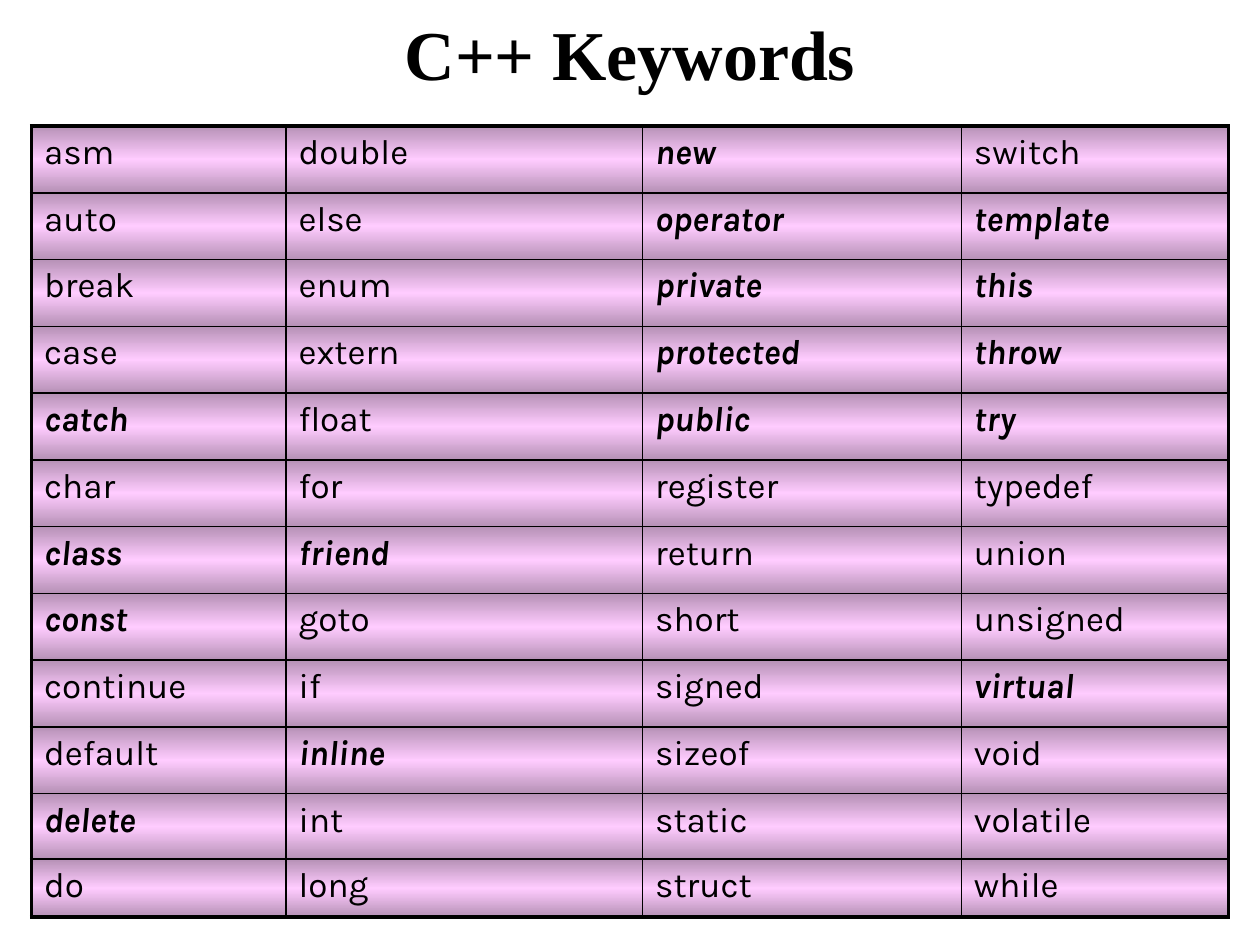
from lxml import etree
from pptx import Presentation
from pptx import util as u
from pptx.dml.color import RGBColor
from pptx.enum import text
from pptx.oxml.ns import qn

BLACK = RGBColor(0x00, 0x00, 0x00)
PINK = RGBColor(0xFF, 0xCC, 0xFF)

# One string per column of the table
WORDS = [
    "asm auto break case catch char class const continue default delete do",
    "double else enum extern float for friend goto if inline int long",
    "new operator private protected public register return short signed sizeof static struct",
    "switch template this throw try typedef union unsigned virtual void volatile while",
]
# Keywords that C++ adds to C
ADDED = set("catch class const delete friend inline new operator private protected "
            "public template this throw try virtual".split())


def write(frame, words, font="Karla", size=20, color=BLACK, bold=False,
          slant=False, align=None, before=None):
    para = frame.paragraphs[0]
    para.alignment = align
    if before:
        gap = node(para._p.get_or_add_pPr(), "spcBef")
        node(gap, "spcPct", val=before * 1000)
    run = para.add_run()
    run.text = words
    face = run.font
    face.name, face.size = font, u.Pt(size)
    face.bold, face.italic = bold, slant
    face.color.rgb = color


def node(root, tag, **attrs):
    return etree.SubElement(root, qn("a:" + tag),
                            {key: str(val) for key, val in attrs.items()})


class Deck:
    thin, thick = 1, 2.25
    shade = 46275  # dark ends of the gradient, in 1/1000 percent

    def __init__(self, wide=10, high=7.5):
        self.prs = Presentation()
        self.prs.slide_width = u.Inches(wide)
        self.prs.slide_height = u.Inches(high)
        self.slide = self.prs.slides.add_slide(self.prs.slide_layouts[5])

    def box(self, left, top, width, height):
        """Turn shares of the slide into lengths."""
        wide, high = self.prs.slide_width, self.prs.slide_height
        return (int(left * wide), int(top * high),
                int(width * wide), int(height * high))

    def title(self, words, *area):
        shape = self.slide.shapes.title
        shape.left, shape.top, shape.width, shape.height = self.box(*area)
        frame = shape.text_frame
        frame.word_wrap = True
        frame.auto_size = text.MSO_AUTO_SIZE.NONE
        frame.vertical_anchor = text.MSO_ANCHOR.MIDDLE
        write(frame, words, font="Times New Roman", size=40, bold=True,
              align=text.PP_ALIGN.CENTER)

    def table(self, cols, widths, heights, *area):
        count = len(heights)
        grid = self.slide.shapes.add_table(count, len(cols), *self.box(*area)).table
        grid.first_row = grid.horz_banding = False
        for row, high in zip(grid.rows, heights):
            row.height = u.Inches(high)
        for x, (words, wide) in enumerate(zip(cols, widths)):
            grid.columns[x].width = u.Inches(wide)
            for y, word in enumerate(words):
                cell = grid.cell(y, x)
                new = word in ADDED
                write(cell.text_frame, word, bold=new, slant=new, before=20)
                self.edges(cell, lnL=x == 0, lnR=x == len(cols) - 1,
                           lnT=y == 0, lnB=y == count - 1)
                self.blend(cell)

    def edges(self, cell, **sides):
        """Draw the outer sides thick and the inner ones thin."""
        for tag, outer in sides.items():
            width = u.Pt(self.thick if outer else self.thin)
            line = node(cell._tc.get_or_add_tcPr(), tag, w=int(width))
            node(node(line, "solidFill"), "srgbClr", val=BLACK)

    def blend(self, cell):
        """Fill from dark to light and back, top to bottom."""
        fill = node(cell._tc.get_or_add_tcPr(), "gradFill", rotWithShape=1)
        stops = node(fill, "gsLst")
        for pos in (0, 50, 100):
            color = node(node(stops, "gs", pos=pos * 1000), "srgbClr", val=PINK)
            if pos != 50:
                node(color, "shade", val=self.shade)
        node(fill, "lin", ang=5400000, scaled=1)


def main():
    deck = Deck()
    # Heading
    deck.title("C++ Keywords", 0.075, 0.01, 0.85, 0.09)
    # Keyword table
    deck.table([col.split() for col in WORDS], [2.02, 2.83, 2.53, 2.12],
               [0.53] * 10 + [0.52, 0.46], 0.025, 1 / 7.5, 0.95, 6.25 / 7.5)
    deck.prs.save("out.pptx")


if __name__ == "__main__":
    main()
